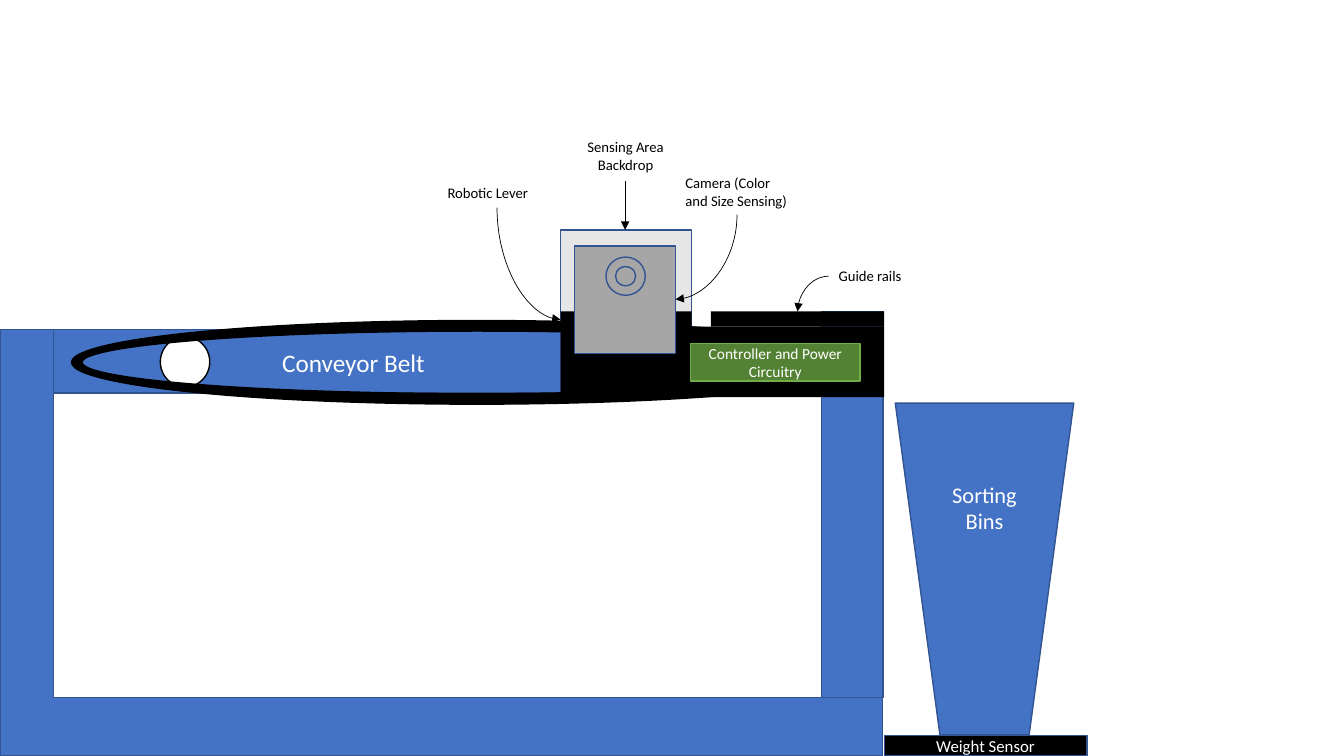
"""Build the conveyor belt sorting machine diagram."""
from dataclasses import dataclass

from lxml.etree import SubElement
from pptx import Presentation
from pptx.dml.color import RGBColor
from pptx.enum.shapes import MSO_CONNECTOR, MSO_SHAPE
from pptx.enum.text import MSO_ANCHOR, MSO_AUTO_SIZE, PP_ALIGN
from pptx.oxml.ns import qn
from pptx.util import Inches, Pt


@dataclass(frozen=True)
class Theme:
    """Hold the colours, font and sizes of the diagram."""
    font: str = "Calibri"
    blue: str = "4472C4"
    outline: str = "325491"
    black: str = "000000"
    white: str = "FFFFFF"
    backdrop: str = "E7E6E6"
    grey: str = "A6A6A6"
    green: str = "548235"
    light_green: str = "70AD47"
    note: float = 10.5
    circuit: float = 11
    sensor: float = 12
    bins: float = 16
    belt: float = 18
    edge: float = 1
    arrow: float = 0.5


THEME = Theme()


def apply(target, values):
    """Set each named attribute on the target."""
    for name, value in values.items():
        setattr(target, name, value)


def write(box, text, size, color, align=PP_ALIGN.CENTER, **frame_values):
    """Write one formatted paragraph into a box."""
    frame = box.text_frame
    apply(frame, {"word_wrap": True, **frame_values})
    para = frame.paragraphs[0]
    para.alignment = align
    span = para.add_run()
    span.text = text
    apply(span.font, {"name": THEME.font, "size": Pt(size)})
    span.font.color.rgb = RGBColor.from_string(color)


def add_part(page, kind, bounds, fill, line=THEME.outline, adjust=()):
    """Add a machine part, without outline when line is None."""
    part = page.shapes.add_shape(kind, *map(Inches, bounds))
    part.shadow.inherit = False
    part.fill.solid()
    part.fill.fore_color.rgb = RGBColor.from_string(fill)
    if line:
        part.line.color.rgb = RGBColor.from_string(line)
        part.line.width = Pt(THEME.edge)
    else:
        part.line.fill.background()
    for index, value in enumerate(adjust):
        part.adjustments[index] = value
    return part


def add_label(page, text, bounds, size=THEME.note, color=THEME.black,
              align=PP_ALIGN.CENTER):
    """Add a text box that grows with its text."""
    box = page.shapes.add_textbox(*map(Inches, bounds))
    write(box, text, size, color, align, auto_size=MSO_AUTO_SIZE.SHAPE_TO_FIT_TEXT)


def add_arrow(page, start, end, kind=MSO_CONNECTOR.STRAIGHT, turn=0):
    """Add a thin arrow, turned by whole degrees about its centre."""
    arrow = page.shapes.add_connector(kind, *map(Inches, (*start, *end)))
    arrow.line.color.rgb = RGBColor.from_string(THEME.black)
    arrow.line.width = Pt(THEME.arrow)
    properties = arrow._element.spPr
    SubElement(properties.find(qn("a:ln")), qn("a:tailEnd"), type="triangle")
    SubElement(properties, qn("a:effectLst"))
    if kind == MSO_CONNECTOR.CURVE:
        properties.find(qn("a:prstGeom")).set("prst", "curvedConnector2")
        properties.find(qn("a:xfrm")).set("rot", str(turn * 60000))


def add_falling_arrow(page, start, end):
    """Add a curved arrow that leaves downwards and arrives sideways."""
    (x1, y1), (x2, y2) = start, end
    middle_x, middle_y = (x1 + x2) / 2, (y1 + y2) / 2
    leftward = x2 < x1
    reach = (y2 - y1) / 2 if leftward else (y1 - y2) / 2
    rise = abs(x2 - x1) / 2
    add_arrow(page, (middle_x - reach, middle_y - rise),
              (middle_x + reach, middle_y + rise),
              MSO_CONNECTOR.CURVE, 90 if leftward else 270)


def add_machine(page):
    """Add the belt, sensing area, circuitry and bin from back to front."""
    rect, ring = MSO_SHAPE.RECTANGLE, MSO_SHAPE.DONUT
    add_part(page, rect, (0.52, 3.27, 7.63, 0.63), THEME.blue)
    add_part(page, rect, (8.15, 3.09, 0.61, 3.83), THEME.blue)
    add_part(page, rect, (5.56, 2.28, 1.3, 1.65), THEME.backdrop)
    add_part(page, MSO_SHAPE.OVAL, (1.59, 3.34, 0.49, 0.5), THEME.white, THEME.black)
    add_part(page, ring, (0.71, 3.18, 8.04, 0.83), THEME.black, THEME.black, [0.126])
    for bounds in ((5.56, 3.24, 3.21, 0.7), (5.56, 3.09, 1.3, 0.15),
                   (7.05, 3.09, 1.72, 0.15)):
        add_part(page, rect, bounds, THEME.black, None)
    sorting_bin = add_part(page, MSO_SHAPE.TRAPEZOID, (8.88, 4, 1.77, 3.29), THEME.blue)
    sorting_bin._element.spPr.find(qn("a:xfrm")).set("flipV", "1")
    add_part(page, rect, (5.7, 2.44, 1, 1.07), THEME.grey)
    add_part(page, ring, (6.01, 2.55, 0.39, 0.38), THEME.grey)
    circuitry = add_part(page, rect, (6.85, 3.41, 1.68, 0.37), THEME.green,
                         THEME.light_green)
    write(circuitry, "Controller and Power Circuitry", THEME.circuit, THEME.white,
          vertical_anchor=MSO_ANCHOR.MIDDLE)
    sensor = add_part(page, rect, (8.77, 7.3, 2.01, 0.2), THEME.black)
    write(sensor, "Weight Sensor", THEME.sensor, THEME.white,
          vertical_anchor=MSO_ANCHOR.MIDDLE)
    add_part(page, MSO_SHAPE.CORNER, (0, 3.27, 8.75, 4.23), THEME.blue,
             adjust=[0.137, 0.125])


def add_notes(page):
    """Add the part names and the arrows that point from them."""
    left = PP_ALIGN.LEFT
    add_label(page, "Conveyor Belt", (2.51, 3.4, 1.99, 0.4), THEME.belt, THEME.white)
    add_label(page, "Sorting Bins", (9.15, 4.72, 1.23, 0.64), THEME.bins, THEME.white)
    add_label(page, "Sensing Area Backdrop", (5.64, 1.32, 1.13, 0.47))
    add_label(page, "Robotic Lever", (4.34, 1.77, 1.18, 0.29), align=left)
    add_label(page, "Camera (Color and Size Sensing)", (6.7, 1.68, 1.23, 0.45),
              align=left)
    add_label(page, "Guide rails", (8.22, 2.6, 0.85, 0.28), align=left)
    add_arrow(page, (6.2, 1.8), (6.2, 2.28))
    add_falling_arrow(page, (4.93, 2.06), (5.56, 3.17))
    add_falling_arrow(page, (7.31, 2.13), (6.7, 2.97))
    add_arrow(page, (8.22, 2.74), (7.91, 3.09), MSO_CONNECTOR.CURVE)


def main():
    """Build and save the deck."""
    deck = Presentation()
    apply(deck, {"slide_width": Inches(13.33), "slide_height": Inches(7.5)})
    page = deck.slides.add_slide(deck.slide_layouts[6])
    add_machine(page)
    add_notes(page)
    deck.save("out.pptx")


main()
